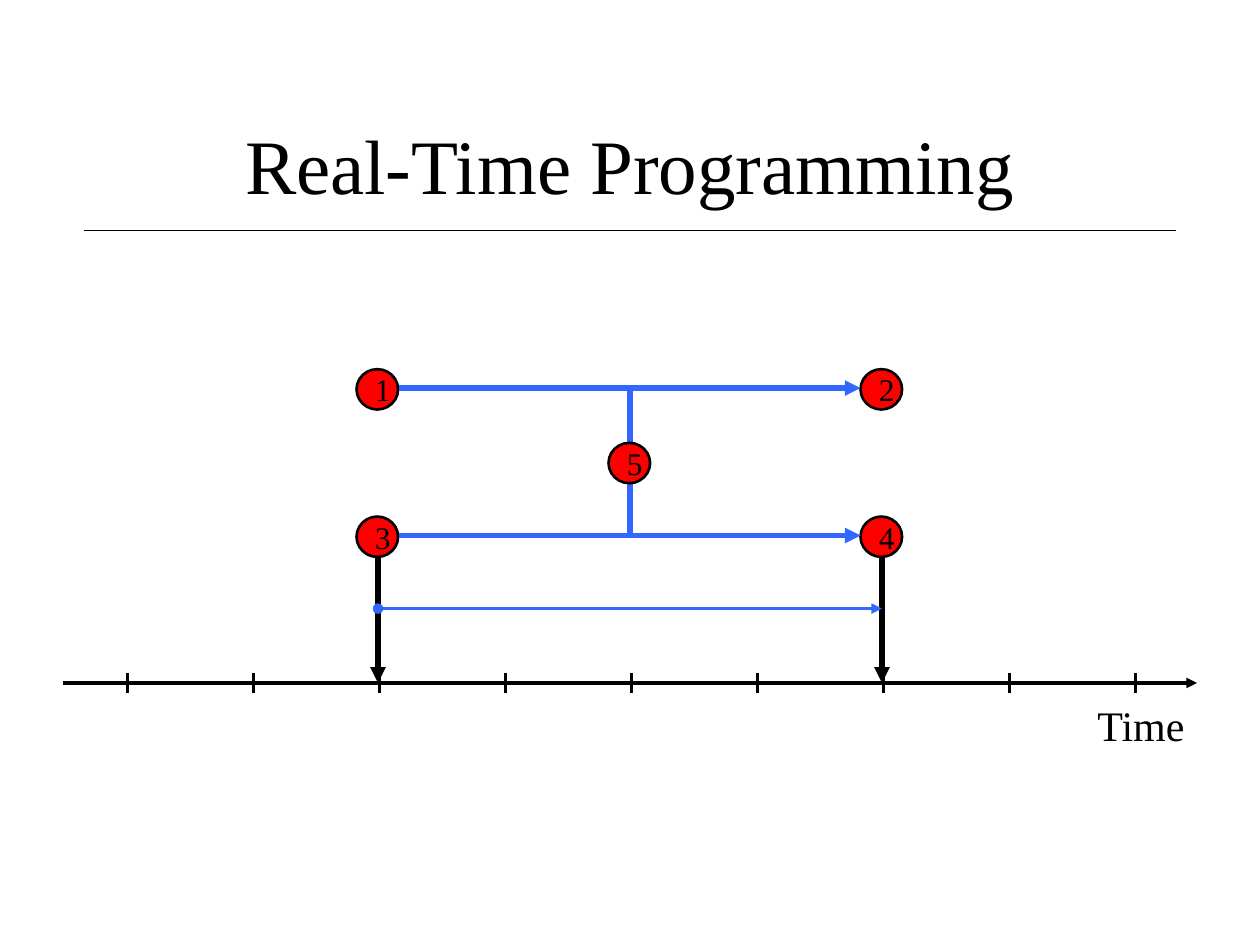
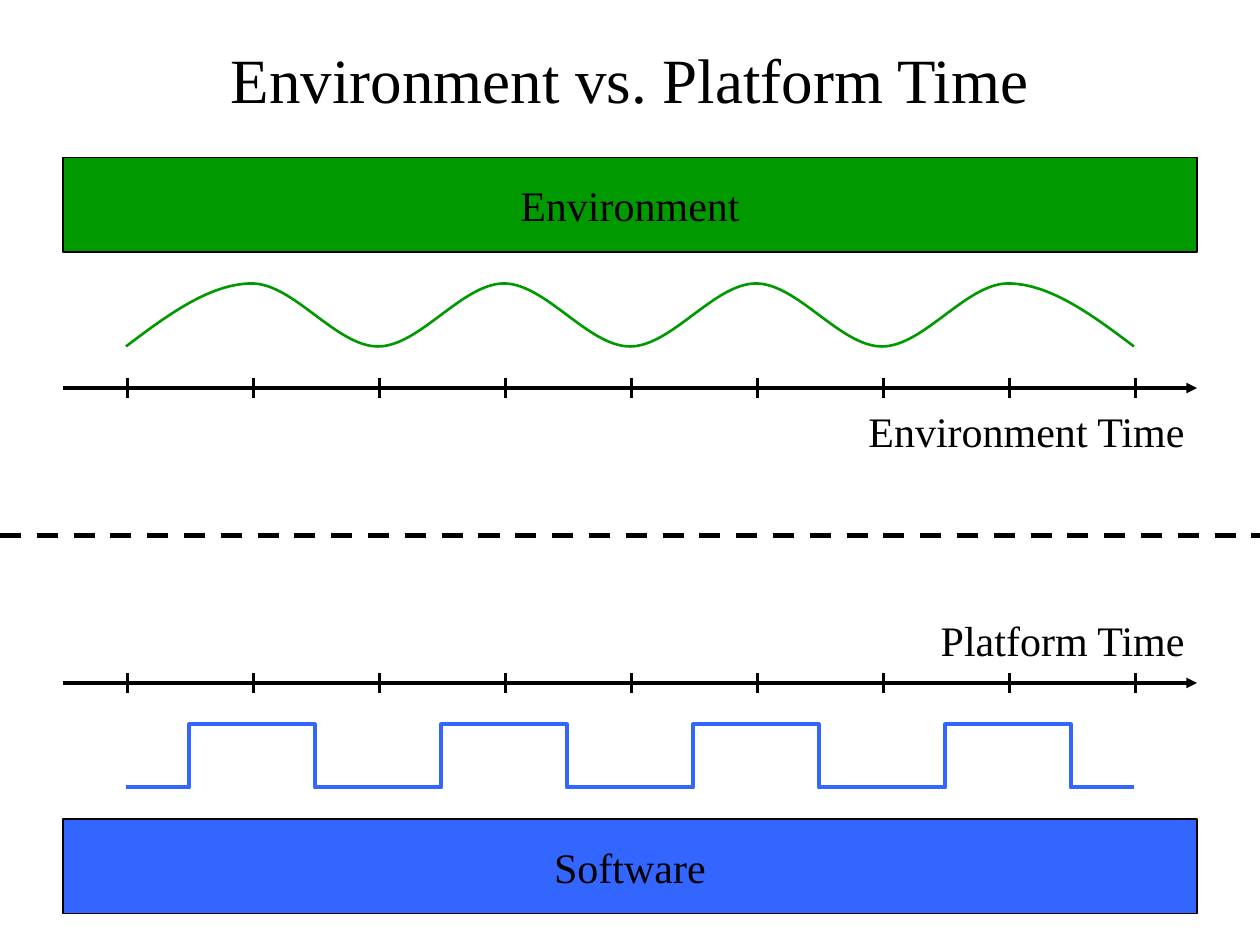
from lxml import etree
from pptx import Presentation
from pptx.dml.color import RGBColor
from pptx.enum.dml import MSO_LINE as Dash
from pptx.enum.shapes import MSO_CONNECTOR as Conn, MSO_SHAPE as Shape
from pptx.enum.text import MSO_ANCHOR as Anchor, PP_ALIGN as Align
from pptx.oxml.ns import qn
from pptx.util import Inches, Pt

FONT = "Times New Roman"
BLACK, RED, GREEN, BLUE = "000000", "FF0000", "009900", "3366FF"
LEFT, RIGHT = 0.5, 9.5          # ends of the time axes and bands
UPPER, LOWER = 3.08, 5.42       # heights of the time axes
MID = 4.25                      # height halfway between the axes
UNIT = 100                      # outline units per inch


def paint(target, color):
    target.rgb = RGBColor.from_string(color)


def stroke(line, color, width):
    paint(line.color, color)
    line.width = Pt(width)


def write(shape, text, size=24, align=Align.CENTER, anchor=Anchor.MIDDLE,
          wrap=False):
    frame = shape.text_frame
    frame.word_wrap = wrap
    frame.vertical_anchor = anchor
    para = frame.paragraphs[0]
    para.alignment = align
    run = para.add_run()
    run.text = text
    run.font.name, run.font.size = FONT, Pt(size)
    paint(run.font.color, BLACK)


def label(slide, text, left, top, width, height, **style):
    box = slide.shapes.add_textbox(*map(Inches, (left, top, width, height)))
    write(box, text, **style)


def solid(slide, kind, text, spot, fill, width, **style):
    shape = slide.shapes.add_shape(kind, *map(Inches, spot))
    shape.shadow.inherit = False
    shape.fill.solid()
    paint(shape.fill.fore_color, fill)
    stroke(shape.line, BLACK, width)
    write(shape, text, **style)


def rule(shapes, x1, y1, x2, y2, color=BLACK, width=1.5, head=None, tail=None,
         dash=None):
    line = shapes.add_connector(Conn.STRAIGHT, *map(Inches, (x1, y1, x2, y2)))
    stroke(line.line, color, width)
    if dash:
        line.line.dash_style = dash
    ln = line.line._get_or_add_ln()
    for tag, kind in (("a:headEnd", head), ("a:tailEnd", tail)):
        if kind:
            etree.SubElement(ln, qn(tag), type=kind)
    etree.SubElement(line._element.spPr, qn("a:effectLst"))


def axis(slide, y):
    shapes = slide.shapes.add_group_shape().shapes
    rule(shapes, LEFT, y, RIGHT, y, width=2, tail="triangle")
    for hour in range(1, 10):
        rule(shapes, hour + 0.01, y - 0.08, hour + 0.01, y + 0.08)


def caption(slide, text, top, width):
    label(slide, text, RIGHT - width, top, width, 0.5, align=Align.RIGHT,
          anchor=Anchor.TOP)


def node(slide, text, x, y):
    solid(slide, Shape.OVAL, text, (x - 0.17, y - 0.15, 0.33, 0.32), RED, 1.5,
          size=18, align=Align.LEFT)


def band(slide, text, top, fill):
    solid(slide, Shape.RECTANGLE, text, (LEFT, top, RIGHT - LEFT, 0.75), fill,
          0.75)


def trace(slide, dots, color, width):
    """Draw an open outline through points given in inches."""
    dots = [(x * UNIT, y * UNIT) for x, y in dots]
    pen = slide.shapes.build_freeform(*dots[0], scale=Inches(1) / UNIT)
    pen.add_line_segments(dots[1:], close=False)
    shape = pen.convert_to_shape()
    shape.shadow.inherit = False
    shape.fill.background()
    stroke(shape.line, color, width)
    return shape


def bend(shape):
    """Turn every three line segments into one Bezier curve."""
    steps = list(shape._element.iter(qn("a:lnTo")))
    for first, second, third in zip(*[iter(steps)] * 3):
        curve = etree.Element(qn("a:cubicBezTo"))
        first.addprevious(curve)
        for step in (first, second, third):
            curve.append(step[0])
            step.getparent().remove(step)


def wave(slide, high, low):
    level = [high if x % 2 == 0 else low for x in range(10)]
    middle = (high + low) / 2
    dots = [(1, low)]
    for x in range(1, 9):
        # The two outer ends are slanted, the inner turns are level
        start = middle if x == 1 else level[x]
        end = middle if x == 8 else level[x + 1]
        dots += [(x + 0.33, start), (x + 0.67, end), (x + 1, level[x + 1])]
    bend(trace(slide, dots, GREEN, 1.5))


def pulse(slide, high, low):
    dots = [(1, low)]
    for x in range(1, 9, 2):
        dots += [(x + 0.5, low), (x + 0.5, high),
                 (x + 1.5, high), (x + 1.5, low)]
    trace(slide, dots + [(9, low)], BLUE, 2.25)


def tasks(slide):
    shapes = slide.shapes
    rule(shapes, 5, UPPER, 5, MID, BLUE, 3)
    axis(slide, LOWER)
    caption(slide, "Time", 5.5, 0.9)
    label(slide, "Real-Time Programming", 0.75, 0.67, 8.5, 1.25, size=44,
          wrap=True)
    rule(shapes, 0.67, 1.83, 9.33, 1.83, width=0.75)

    # Numbered nodes and the arrows between them
    for y, start, end in ((UPPER, "1", "2"), (MID, "3", "4")):
        node(slide, start, 3, y)
        node(slide, end, 7, y)
        rule(shapes, 3.17, y, 6.83, y, BLUE, 3, tail="triangle")
    node(slide, "5", 5, (UPPER + MID) / 2)

    # Drops to the time axis and the span between them
    for x in (7, 3):
        rule(shapes, x, 4.42, x, LOWER, width=3, tail="triangle")
    rule(shapes, 3, 4.83, 7, 4.83, BLUE, 2, head="oval", tail="triangle")


def clocks(slide):
    label(slide, "Environment vs. Platform Time", 0.5, 0, 9, 1.25, size=36,
          wrap=True)

    # Environment above, software below
    axis(slide, UPPER)
    band(slide, "Environment", 1.25, GREEN)
    band(slide, "Software", 6.5, BLUE)
    axis(slide, LOWER)
    wave(slide, 2.25, 2.75)
    pulse(slide, 5.75, 6.25)
    caption(slide, "Environment Time", 3.17, 2.72)
    caption(slide, "Platform Time", 4.83, 2.15)
    rule(slide.shapes, 0, MID, 10, MID, width=3, dash=Dash.DASH)


def main():
    deck = Presentation()
    deck.slide_width, deck.slide_height = Inches(10), Inches(7.5)
    for draw in (tasks, clocks):
        draw(deck.slides.add_slide(deck.slide_layouts[6]))
    deck.save("out.pptx")


if __name__ == "__main__":
    main()
